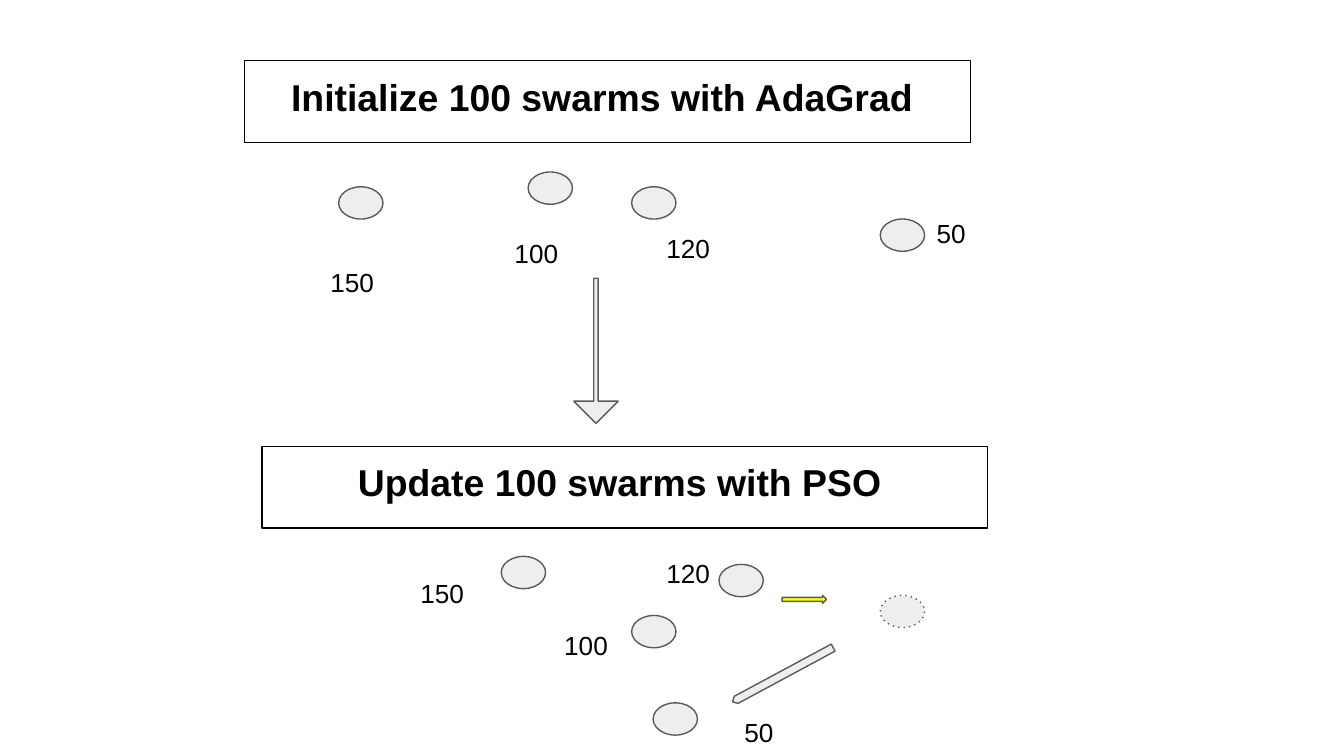
import pptx
import pptx.util
import pptx.dml.color
import pptx.enum.dml
import pptx.enum.shapes
import pptx.enum.text

Inches = pptx.util.Inches
KIND = pptx.enum.shapes.MSO_SHAPE
ALIGN = pptx.enum.text.PP_ALIGN

# Content: places are left, top in inches
HEADS = [
    ("Initialize 100 swarms with AdaGrad ", 1.82, 0.45),
    ("Update 100 swarms with PSO ", 1.95, 3.32),
]
# Each swarm: loss, label place, dot place
SWARMS = [
    ("150", (2.36, 1.88), (2.52, 1.39)),
    ("100", (3.73, 1.67), (3.93, 1.28)),
    ("120", (4.86, 1.63), (4.70, 1.39)),
    ("50", (6.87, 1.52), (6.55, 1.63)),
    ("150", (3.03, 4.20), (3.73, 4.14)),
    ("100", (4.10, 4.58), (4.70, 4.58)),
    ("120", (4.86, 4.05), (5.35, 4.20)),
    ("50", (5.44, 5.23), (4.86, 5.23)),
]
GHOST = (6.55, 4.43)
# Each arrow: kind, box, shaft share, turn, fill
ARROWS = [
    (KIND.DOWN_ARROW, (4.27, 2.07, 0.33, 1.08), 0.1, 0, "pale"),
    (KIND.RIGHT_ARROW, (5.82, 4.43, 0.33, 0.06), 0.5, 0, "yellow"),
    (KIND.RIGHT_ARROW, (5.40, 4.99, 0.85, 0.06), 1, 151.7, "pale"),
]
HEAD = (5.4, 0.61)
DOT = (0.33, 0.24)
COLORS = {"ink": "000000", "edge": "595959", "pale": "EEEEEE", "yellow": "FFFF00"}


def color(name):
    return pptx.dml.color.RGBColor.from_string(COLORS[name])


def add_form(kind, box, fill=None, edge="edge"):
    form = slide.shapes.add_shape(kind, *map(Inches, box))
    form.shadow.inherit = False
    if fill:
        form.fill.solid()
        form.fill.fore_color.rgb = color(fill)
    else:
        form.fill.background()
    form.line.color.rgb = color(edge)
    form.line.width = pptx.util.Pt(0.75)
    return form


def set_text(form, text, size, bold=False, align=ALIGN.LEFT):
    frame = form.text_frame
    frame.word_wrap = True
    frame.vertical_anchor = pptx.enum.text.MSO_ANCHOR.TOP
    frame.margin_left = frame.margin_right = Inches(0.1)
    frame.margin_top = frame.margin_bottom = Inches(0.1)
    line = frame.paragraphs[0]
    line.text = text
    line.alignment = align
    line.font.name = "Arial"
    line.font.size = pptx.util.Pt(size)
    line.font.bold = bold
    line.font.color.rgb = color("ink")


# Slide in 16:9
deck = pptx.Presentation()
deck.slide_width = Inches(10)
deck.slide_height = Inches(10 * 9 / 16)
slide = deck.slides.add_slide(deck.slide_layouts[6])

# Step headings
for text, left, top in HEADS:
    form = add_form(KIND.RECTANGLE, (left, top, *HEAD), edge="ink")
    set_text(form, text, 20, True, ALIGN.CENTER)

# Swarms with their losses
for loss, (left, top), dot in SWARMS:
    add_form(KIND.OVAL, (*dot, *DOT), "pale")
    width = 0.67 if len(loss) == 3 else 0.52
    label = slide.shapes.add_textbox(*map(Inches, (left, top, width, 0.24)))
    set_text(label, loss, 14)

# Former place of the best swarm, dotted
ghost = add_form(KIND.OVAL, (*GHOST, *DOT), "pale")
ghost.line.dash_style = pptx.enum.dml.MSO_LINE.ROUND_DOT
ghost._element.xpath(".//a:prstDash")[0].set("val", "dot")

# Arrows
for kind, box, shaft, turn, fill in ARROWS:
    arrow = add_form(kind, box, fill)
    arrow.adjustments[0] = shaft
    arrow.adjustments[1] = 0.5
    arrow.rotation = turn

deck.save("out.pptx")
